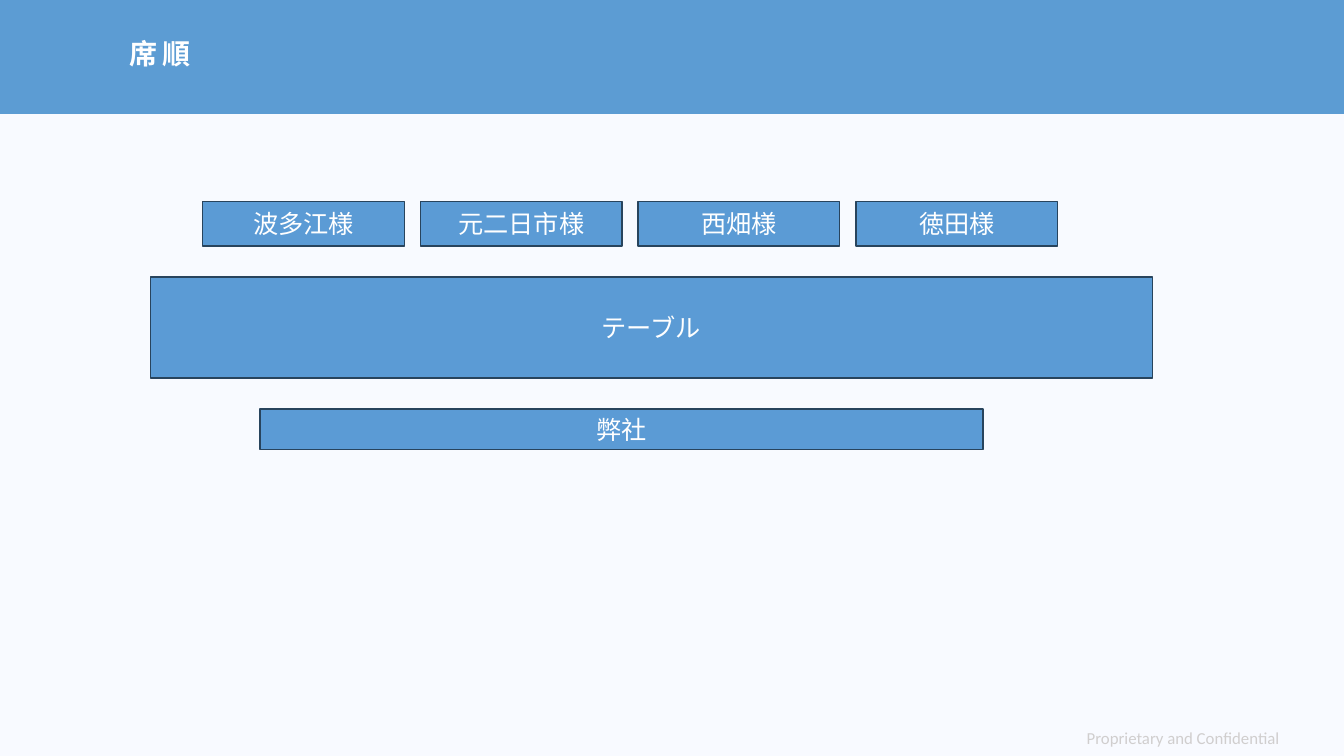
import pptx
import pptx.util
import pptx.dml.color
import pptx.enum.shapes
import pptx.enum.text
from lxml import etree
from pptx.oxml.ns import qn

Inches = pptx.util.Inches
Pt = pptx.util.Pt
RGB = pptx.dml.color.RGBColor.from_string
ALIGN = pptx.enum.text.PP_ALIGN
MIDDLE = pptx.enum.text.MSO_ANCHOR.MIDDLE

COLORS = {
    "background": "F8FAFF",
    "header": "5C9CD3",
    "box": "5B9BD5",
    "outline": "28445D",
    "white": "FFFFFF",
    "footer": "D0CECE",
}

prs = pptx.Presentation()
prs.slide_width = Inches(13.33)
prs.slide_height = Inches(7.5)
s = prs.slides.add_slide(prs.slide_layouts[6])
s.background.fill.solid()
s.background.fill.fore_color.rgb = RGB(COLORS["background"])


def add_rect(x, y, w, h, fill):
    sp = s.shapes.add_shape(pptx.enum.shapes.MSO_SHAPE.RECTANGLE,
                            Inches(x), Inches(y), Inches(w), Inches(h))
    sp.shadow.inherit = False
    sp.fill.solid()
    sp.fill.fore_color.rgb = RGB(COLORS[fill])
    sp.line.fill.background()
    return sp


def add_text(sp, text, size, color, font="Calibri", align=ALIGN.LEFT):
    """Write one run into the shape and return it."""
    tf = sp.text_frame
    tf.word_wrap = True
    tf.vertical_anchor = MIDDLE
    p = tf.paragraphs[0]
    p.alignment = align
    r = p.add_run()
    r.text = text
    r.font.size = Pt(size)
    r.font.name = font
    r.font.color.rgb = RGB(COLORS[color])
    return r


# Header and title
add_rect(0, 0, 13.33, 1.13, "header")
title = s.shapes.add_textbox(Inches(1.19), Inches(0.14), Inches(11.8), Inches(0.82))
r = add_text(title, "席順", 20, "white", "Noto Sans CJK JP")
r.font.bold = True
title.text_frame.paragraphs[0].line_spacing = 0.9
rPr = r.font._element
rPr.set("spc", "300")
etree.SubElement(rPr, qn("a:ea")).set("typeface", "Noto Sans CJK JP")

# Seats, table and host row
guests = ["波多江様", "元二日市様", "西畑様", "徳田様"]
boxes = [(name, 2.01 + 2.16 * i, 2, 2, 0.44) for i, name in enumerate(guests)]
boxes += [("テーブル", 1.49, 2.75, 9.94, 1), ("弊社", 2.58, 4.06, 7.17, 0.4)]
for name, x, y, w, h in boxes:
    sp = add_rect(x, y, w, h, "box")
    sp.line.color.rgb = RGB(COLORS["outline"])
    sp.line.width = Pt(1)
    add_text(sp, name, 18, "white", align=ALIGN.CENTER)

# Footer
footer = s.shapes.add_textbox(Inches(10.68), Inches(7.17), Inches(2.5), Inches(0.3))
add_text(footer, "Proprietary and Confidential", 12, "footer")

prs.save("out.pptx")
